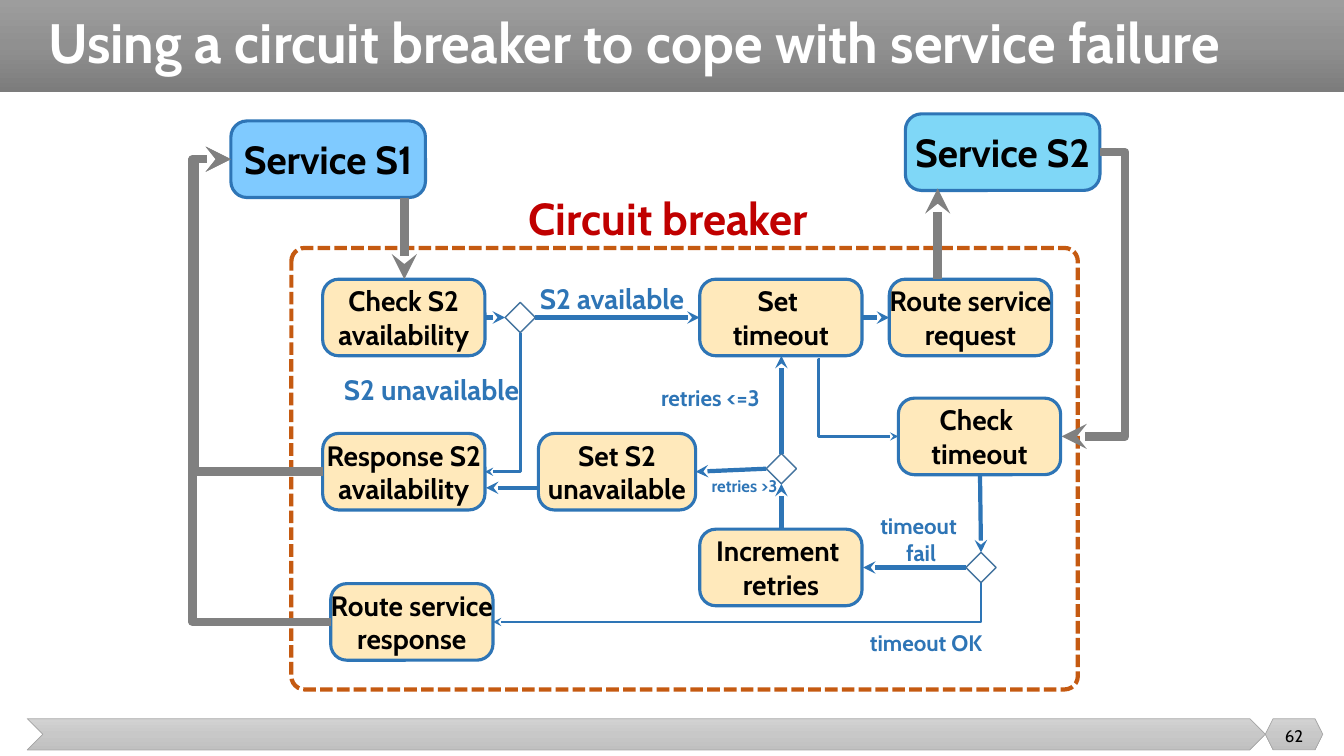
from copy import deepcopy

from lxml.etree import SubElement
from pptx import Presentation
from pptx.dml.color import RGBColor
from pptx.enum.dml import MSO_LINE
from pptx.enum.shapes import MSO_CONNECTOR, MSO_SHAPE
from pptx.enum.text import MSO_ANCHOR, PP_ALIGN
from pptx.oxml.ns import qn
from pptx.util import Pt

PX = 9144  # 100 px to the inch
BLUE, GREY, BLACK, WHITE = "2E75B6", "808080", "000000", "FFFFFF"

presentation = Presentation()
presentation.slide_width = 1333 * PX
presentation.slide_height = 750 * PX
slide = presentation.slides.add_slide(presentation.slide_layouts[6])
shapes = slide.shapes


def add_block(kind, bounds, line=None, width=1, fill=None, alpha=None):
    """Add a preset shape; alpha is the opacity of its fill in percent."""
    shape = shapes.add_shape(kind, *[value * PX for value in bounds])
    shape.shadow.inherit = False
    if fill:
        shape.fill.solid()
        shape.fill.fore_color.rgb = RGBColor.from_string(fill)
    else:
        shape.fill.background()
    if alpha:
        color = shape._element.spPr.find(".//" + qn("a:srgbClr"))
        SubElement(color, qn("a:alpha"), val=str(alpha * 1000))
    if line:
        shape.line.color.rgb = RGBColor.from_string(line)
        shape.line.width = Pt(width)
    else:
        shape.line.fill.background()
    return shape


def write(text, bounds=None, shape=None, size=20, color=BLUE, bold=True,
          align=PP_ALIGN.CENTER, anchor=MSO_ANCHOR.TOP, spacing=None):
    """Write into shape without margins or wrapping, or into a new text box."""
    if shape:
        frame = shape.text_frame
        frame.margin_left = frame.margin_right = 0
        frame.margin_top = frame.margin_bottom = 0
    else:
        frame = shapes.add_textbox(*[value * PX for value in bounds]).text_frame
    frame.word_wrap = shape is None
    frame.vertical_anchor = anchor
    frame.text = text
    for paragraph in frame.paragraphs:
        paragraph.alignment = align
        paragraph.line_spacing = spacing
        for run in paragraph.runs:
            run.font.name = "Cabin"
            run.font.size = Pt(size)
            run.font.bold = bold
            run.font.color.rgb = RGBColor.from_string(color)


# Header and footer bands
header_colors = ["9D9D9D", "909090", "7C7C7C"]
footer_colors = ["D2D2D2", "C8C8C8", "C0C0C0"]
bands = [
    (MSO_SHAPE.RECTANGLE, (0, 0, 1333, 91), None, header_colors),
    (MSO_SHAPE.CHEVRON, (27, 713, 1228, 31), "A5A5A5", footer_colors),
    (MSO_SHAPE.HEXAGON, (1255, 713, 57, 31), "A5A5A5", footer_colors),
]
for kind, bounds, line, colors in bands:
    band = add_block(kind, bounds, line, 0.5)
    band.fill.gradient()
    band.fill.gradient_angle = 270
    first_stop = band._element.spPr.find(".//" + qn("a:gs"))
    first_stop.addnext(deepcopy(first_stop))
    for index, stop in enumerate(band.fill.gradient_stops):
        stop.position = index / 2
        stop.color.rgb = RGBColor.from_string(colors[index])

write("Using a circuit breaker to cope with service failure", (38, 0, 1274, 91),
      size=39.6, color=WHITE, align=PP_ALIGN.LEFT, anchor=MSO_ANCHOR.MIDDLE,
      spacing=0.9)
write("62", (1255, 710, 57, 40), size=12, color=BLACK, bold=False,
      anchor=MSO_ANCHOR.MIDDLE)

# Services and steps: left, top, width, text, fill, text size
STEP = "FFD579"
boxes = [
    (229, 120, 193, "Service S1", "0096FF", 28),
    (898, 113, 193, "Service S2", "00B0F0", 28),
    (320, 277, 161, "Check S2\navailability", STEP, 20),
    (320, 430, 161, "Response S2\navailability", STEP, 20),
    (328, 579, 161, "Route service\vresponse", STEP, 20),
    (534, 430, 156, "Set S2\nunavailable", STEP, 20),
    (694, 525, 161, "Increment \vretries", STEP, 20),
    (694, 277, 161, "Set \vtimeout", STEP, 20),
    (891, 395, 161, "Check \vtimeout", STEP, 20),
    (882, 277, 161, "Route service\vrequest", STEP, 20),
]
for left, top, width, text, fill, size in boxes:
    box = add_block(MSO_SHAPE.ROUNDED_RECTANGLE, (left, top, width, 76),
                    BLUE, 2.25, fill, alpha=50)
    box.adjustments[0] = 0.21
    write(text, shape=box, size=size, color=BLACK, anchor=MSO_ANCHOR.MIDDLE)

breaker = add_block(MSO_SHAPE.ROUNDED_RECTANGLE, (289, 246, 780, 438), "C55A11", 3)
breaker.adjustments[0] = 0.03
breaker.line.dash_style = MSO_LINE.SQUARE_DOT

for left, top in [(501, 300), (760, 450), (958, 548)]:
    add_block(MSO_SHAPE.DIAMOND, (left, top, 30, 30), "43739E", 1, WHITE)

# Arrows: begin x, begin y, end x, end y, x of the upright part of a bent arrow
arrow_groups = [
    (BLUE, 3, [
        (481, 315, 501, 315, None),
        (531, 315, 694, 315, None),
        (856, 315, 882, 315, None),
        (958, 563, 856, 563, None),
        (775, 450, 775, 353, None),
        (760, 465, 690, 468, None),
        (775, 525, 775, 480, None),
        (534, 484, 482, 484, None),
        (972, 471, 973, 548, None),
    ]),
    (BLUE, 2, [
        (813, 357, 891, 433, 812),
        (973, 578, 489, 617, 973),
        (516, 330, 481, 468, 516),
    ]),
    (GREY, 6, [
        (401, 196, 401, 277, None),
        (930, 277, 930, 187, None),
        (1091, 151, 1053, 433, 1116),
        (320, 468, 229, 158, 193),
        (328, 617, 229, 158, 191),
    ]),
]
for color, width, arrows in arrow_groups:
    for begin_x, begin_y, end_x, end_y, bend_x in arrows:
        kind = MSO_CONNECTOR.STRAIGHT if bend_x is None else MSO_CONNECTOR.ELBOW
        arrow = shapes.add_connector(kind, begin_x * PX, begin_y * PX,
                                     end_x * PX, end_y * PX)
        arrow.line.color.rgb = RGBColor.from_string(color)
        arrow.line.width = Pt(width)
        properties = arrow._element.spPr
        SubElement(properties.find(qn("a:ln")), qn("a:tailEnd"), type="stealth")
        SubElement(properties, qn("a:effectLst"))
        if bend_x is not None:
            bend = round((bend_x - begin_x) / (end_x - begin_x) * 100000)
            guides = properties.find(qn("a:prstGeom")).find(qn("a:avLst"))
            SubElement(guides, qn("a:gd"), name="adj1", fmla=f"val {bend}")

# Labels: bounds, text, size, colour
labels = [
    ((453, 184, 420, 64), "Circuit breaker", 32, "C00000"),
    ((523, 274, 168, 44), "S2 available", 20, BLUE),
    ((320, 365, 216, 44), "S2 unavailable", 20, BLUE),
    ((843, 503, 141, 64), "timeout \vfail", 16, BLUE),
    ((848, 619, 141, 37), "timeout OK", 16, BLUE),
    ((692, 467, 93, 30), "retries >3", 12, BLUE),
    ((634, 376, 141, 37), "retries <=3", 16, BLUE),
]
for bounds, text, size, color in labels:
    write(text, bounds, size=size, color=color)

presentation.save("out.pptx")
